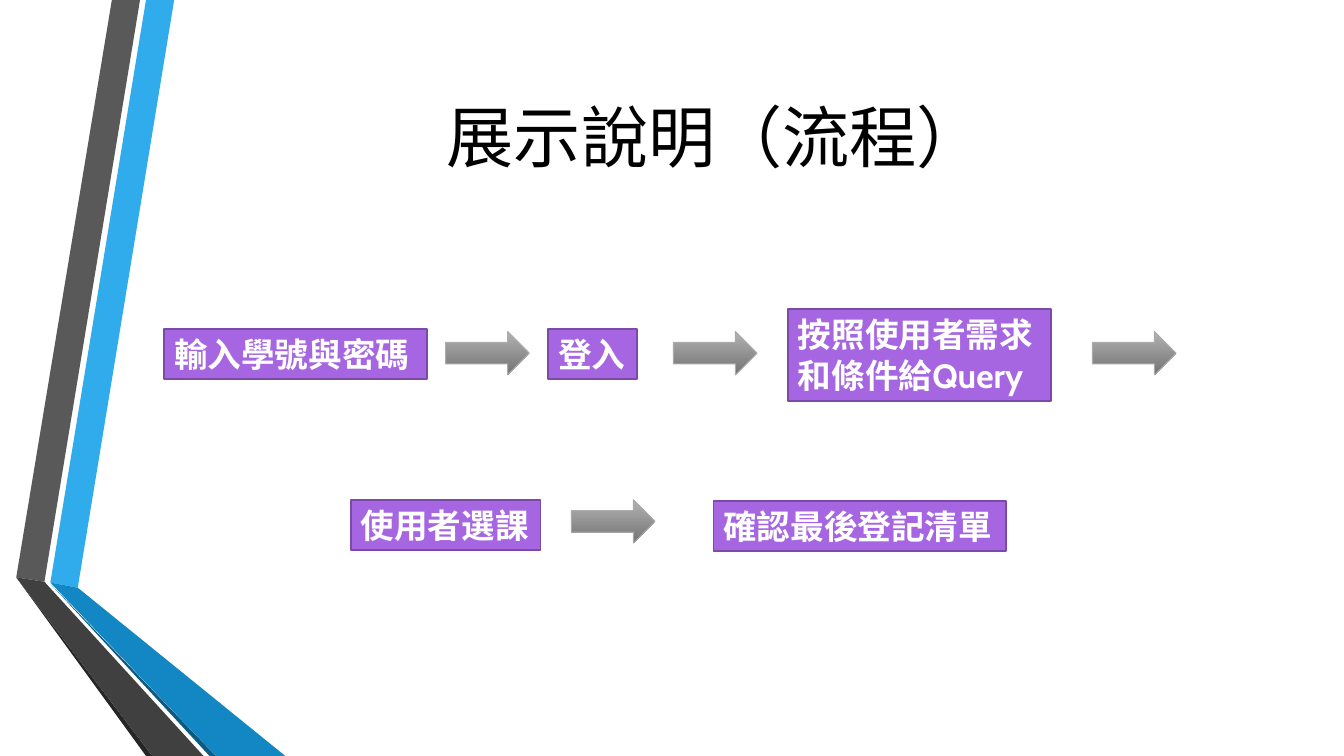
from pptx import Presentation
from pptx.dml.color import RGBColor
from pptx.enum.shapes import MSO_SHAPE as Kind
from pptx.enum.text import MSO_ANCHOR as Anchor, MSO_AUTO_SIZE as Auto, PP_ALIGN as Align
from pptx.util import Cm, Pt

FONT = "Cabin"
TITLE = "展示說明（流程）"
UNIT = Cm(0.01)

BANDS = [
    ("30ACEC", [(127, 1468), (196, 1481), (439, 0), (368, 0)]),
    ("595959", [(353, 0), (282, 0), (41, 1455), (112, 1466)]),
    ("262626", [(41, 1455), (368, 1905), (384, 1905)]),
    ("0C5A82", [(127, 1471), (528, 1905), (544, 1905)]),
    ("1287C3", [(127, 1468), (544, 1905), (719, 1905), (196, 1481)]),
    ("404040", [(513, 1905), (112, 1466), (41, 1455), (384, 1905)]),
]

# text, left, middle, width, lines, wrap
STEPS = [
    ("輸入學號與密碼", 4.14, 8.92, 6.63, 1, True),
    ("登入", 13.82, 8.92, 2.24, 1, False),
    ("按照使用者需求和條件給Query", 19.86, 8.95, 6.63, 2, True),
    ("使用者選課", 8.84, 13.23, 4.78, 1, True),
    ("確認最後登記清單", 17.98, 13.26, 7.37, 1, True),
]
ARROWS = [(11.23, 8.9), (16.97, 8.9), (27.53, 8.9), (14.4, 13.14)]


def color(code):
    return RGBColor.from_string(code)


def paint(shape, fill):
    shape.shadow.inherit = False
    shape.fill.solid()
    shape.fill.fore_color.rgb = color(fill)


def edge(shape, code, width):
    shape.line.color.rgb = color(code)
    shape.line.width = Pt(width)


def write(frame, text, size, code, align, bold=False):
    para = frame.paragraphs[0]
    para.alignment = align
    run = para.add_run()
    run.text = text
    run.font.name = FONT
    run.font.size = Pt(size)
    run.font.bold = bold
    run.font.color.rgb = color(code)


def place(shapes, kind, left, mid, width, height):
    return shapes.add_shape(kind, Cm(left), Cm(mid - height / 2), Cm(width), Cm(height))


def add_band(shapes, fill, points):
    pen = shapes.build_freeform(*points[0], scale=UNIT)
    pen.add_line_segments(points[1:], close=True)
    band = pen.convert_to_shape()
    paint(band, fill)
    band.line.fill.background()


def add_step(shapes, text, left, mid, width, lines, wrap):
    box = place(shapes, Kind.RECTANGLE, left, mid, width, 0.23 + 1.04 * lines)
    paint(box, "A666E1")
    edge(box, "7B4BA6", 1.25)
    frame = box.text_frame
    frame.word_wrap = wrap
    frame.auto_size = Auto.SHAPE_TO_FIT_TEXT
    frame.vertical_anchor = Anchor.TOP
    write(frame, text, 24, "FFFFFF", Align.LEFT, True)


def add_arrow(shapes, left, mid):
    arrow = place(shapes, Kind.RIGHT_ARROW, left, mid, 2.11, 1.09)
    arrow.shadow.inherit = False
    arrow.fill.gradient()
    arrow.fill.gradient_angle = 270
    for stop, code in zip(arrow.fill.gradient_stops, ("B2B2B2", "737373")):
        stop.color.rgb = color(code)
    edge(arrow, "ABABAB", 0.75)


def main():
    deck = Presentation()
    deck.slide_width, deck.slide_height = Cm(33.87), Cm(19.05)
    slide = deck.slides.add_slide(deck.slide_layouts[5])
    shapes = slide.shapes
    for band in BANDS:
        add_band(shapes, *band)
    title = shapes.title
    title.left, title.top, title.width, title.height = Cm(4.11), Cm(0.99), Cm(27.84), Cm(4.88)
    title.text_frame.vertical_anchor = Anchor.MIDDLE
    write(title.text_frame, TITLE, 48, "000000", Align.CENTER)
    for step in STEPS:
        add_step(shapes, *step)
    for arrow in ARROWS:
        add_arrow(shapes, *arrow)
    deck.save("out.pptx")


if __name__ == "__main__":
    main()
